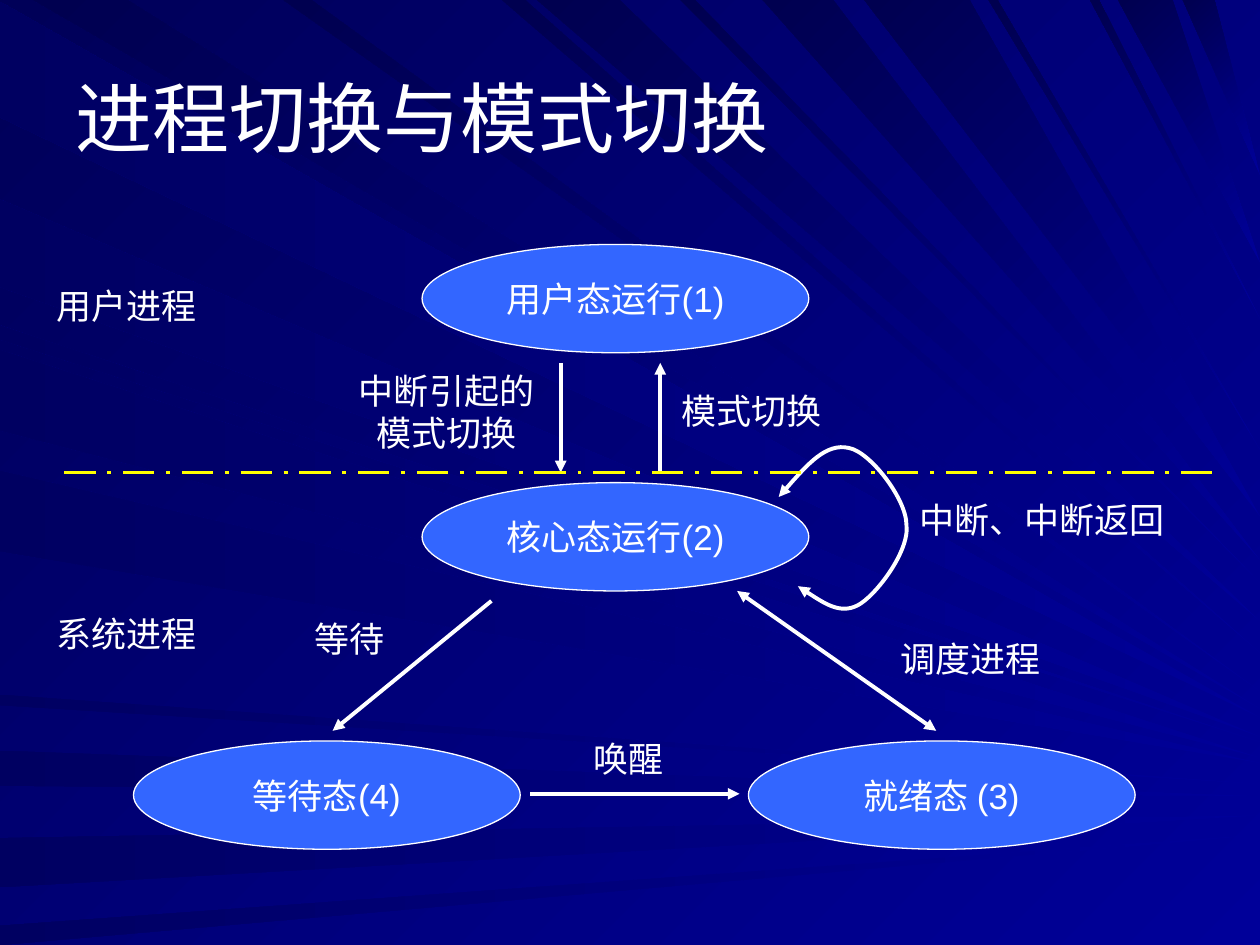
from dataclasses import dataclass

from pptx import Presentation
from pptx.dml.color import RGBColor
from pptx.enum.dml import MSO_LINE
from pptx.enum.shapes import MSO_CONNECTOR, MSO_SHAPE
from pptx.enum.text import MSO_ANCHOR, MSO_AUTO_SIZE, PP_ALIGN
from pptx.oxml import parse_xml
from pptx.oxml.ns import nsdecls, qn
from pptx.util import Pt

STRAIGHT = MSO_CONNECTOR.STRAIGHT
ELLIPSE = MSO_SHAPE.OVAL
LONG_DASH_DOT = MSO_LINE.LONG_DASH_DOT
MIDDLE = MSO_ANCHOR.MIDDLE
FIT_SHAPE, FIXED = MSO_AUTO_SIZE.SHAPE_TO_FIT_TEXT, MSO_AUTO_SIZE.NONE
LEFT, CENTER = PP_ALIGN.LEFT, PP_ALIGN.CENTER
SLIDE_WIDTH, SLIDE_HEIGHT = 720, 540


@dataclass(frozen=True)
class Theme:
    font: str = "Arial"
    title_size: float = 44
    label_size: float = 20
    text: str = "FFFFFF"
    state: str = "3366FF"
    boundary: str = "FFFF00"
    back_light: str = "000099"
    back_dark: str = "000058"
    ray_left: str = "000061"
    ray_top: str = "000050"
    outline: float = 0.75
    stroke: float = 2.25


# Each ray: where it starts and stops on its edge, and its tip on the right edge
LEFT_RAYS = [
    (1, 67, 410), (429, 449, 455), (479, 507, 466), (529, 540, 477),
    (186, 194, 424), (114, 164, 421), (200, 246, 433), (269, 315, 436),
    (397, 403, 448),
]
TOP_RAYS = [
    (19, 73, 405), (162, 178, 395), (287, 300, 373), (307, 354, 355),
    (389, 397, 333), (436, 476, 320), (494, 554, 295), (565, 570, 257),
    (623, 628, 182), (639, 670, 150), (676, 694, 100),
]

MIDDLE_COLUMN, BOTTOM_ROW, BOUNDARY = 241.2, 423.4, 270
STATES = [
    ("用户态运行(1)", MIDDLE_COLUMN, 139.7),
    ("核心态运行(2)", MIDDLE_COLUMN, 275.8),
    ("等待态(4)", 76.3, BOTTOM_ROW),
    ("就绪态 (3)", 427.7, BOTTOM_ROW),
]

# Start, end, whether the start has an arrowhead too
TRANSITIONS = [
    ((320.4, 207.4), (320.4, BOUNDARY), False),
    ((377.3, BOUNDARY), (377.3, 207.4), False),
    ((280.8, 343.4), (190.1, 417.6), False),
    ((303.1, 453.6), (422.6, 453.6), False),
    ((535, 417.6), (421.2, 337.7), True),
]

# Start, then two control points and an end for each curve
INTERRUPT_LOOP = [
    (445, 284),
    (459, 268), (472, 253), (485, 256),
    (497, 258), (518, 285), (518, 300),
    (520, 315), (500, 341), (490, 346),
    (480, 351), (468, 343), (456, 335),
]

LABELS = [
    ("模式切换", 382.3, 218.9),
    ("中断、中断返回", 518.4, 281.5),
    ("调度进程", 507.6, 360.7),
    ("唤醒", 331.9, 417.6),
    ("等待", 172.8, 349.2),
    ("用户进程", 25.2, 159.1),
    ("系统进程", 25.2, 346.3),
]


def write_text(frame, text, *, font, size, color, align=LEFT, before=0, wrap=True):
    frame.word_wrap = wrap
    paragraph = frame.paragraphs[0]
    paragraph.alignment = align
    paragraph.space_before = Pt(before)
    run = paragraph.add_run()
    run.text = text
    run.font.name = font
    run.font.size = Pt(size)
    run.font.color.rgb = RGBColor.from_string(color)


def paint_gradient(fill, start, end, angle):
    """Fill with two colours at a clockwise angle."""
    fill.gradient()
    fill.gradient_angle = 360 - angle
    for stop, color in zip(fill.gradient_stops, (start, end)):
        stop.color.rgb = RGBColor.from_string(color)


def outline_path(shapes, corners, close):
    points = [(Pt(x), Pt(y)) for x, y in corners]
    builder = shapes.build_freeform(*points[0])
    builder.add_line_segments(points[1:], close=close)
    shape = builder.convert_to_shape()
    shape.shadow.inherit = False
    return shape


class SlideBuilder:
    def __init__(self, slide, theme):
        self.slide = slide
        self.theme = theme

    def text(self, frame, text, **format_options):
        style = {"font": self.theme.font, "size": self.theme.label_size, "color": self.theme.text}
        write_text(frame, text, **(style | format_options))

    def stroke(self, shape, color, width):
        shape.line.color.rgb = RGBColor.from_string(color)
        shape.line.width = Pt(width)

    def arrowheads(self, shape, both):
        ends = ("headEnd", "tailEnd") if both else ("tailEnd",)
        for end in ends:
            shape.element.spPr.find(qn("a:ln")).append(
                parse_xml(f'<a:{end} {nsdecls("a")} type="triangle"/>'))

    def background(self):
        theme = self.theme
        paint_gradient(self.slide.background.fill, theme.back_light, theme.back_dark, 225)
        group = self.slide.shapes.add_group_shape()
        rays = [((0, a), (0, b), tip, theme.ray_left, 180) for a, b, tip in LEFT_RAYS]
        rays += [((a, 0), (b, 0), tip, theme.ray_top, 225) for a, b, tip in TOP_RAYS]
        for start, stop, tip, dark, angle in rays:
            ray = outline_path(group.shapes, [start, stop, (SLIDE_WIDTH, tip)], close=True)
            paint_gradient(ray.fill, theme.back_light, dark, angle)
            ray.line.fill.background()

    def title(self, text, left, top, width, height):
        """Place the title above everything drawn so far."""
        title = self.slide.shapes.title
        title.left, title.top, title.width, title.height = map(Pt, (left, top, width, height))
        title.text_frame.vertical_anchor = MIDDLE
        title.text_frame.auto_size = FIXED
        self.text(title.text_frame, text, size=self.theme.title_size)
        title.element.getparent().append(title.element)

    def state(self, text, left, top, width=221, height=61.9):
        state = self.slide.shapes.add_shape(ELLIPSE, *map(Pt, (left, top, width, height)))
        state.shadow.inherit = False
        state.fill.solid()
        state.fill.fore_color.rgb = RGBColor.from_string(self.theme.state)
        self.stroke(state, self.theme.text, self.theme.outline)
        state.text_frame.vertical_anchor = MIDDLE
        self.text(state.text_frame, text, align=CENTER, wrap=False)

    def line(self, start, end, color):
        line = self.slide.shapes.add_connector(STRAIGHT, *map(Pt, (*start, *end)))
        self.stroke(line, color, self.theme.stroke)
        line.element.spPr.append(parse_xml(f'<a:effectLst {nsdecls("a")}/>'))
        return line

    def arrow(self, start, end, both):
        self.arrowheads(self.line(start, end, self.theme.text), both)

    def boundary(self, start, end):
        self.line(start, end, self.theme.boundary).line.dash_style = LONG_DASH_DOT

    def curved_arrow(self, points):
        """Draw cubic curves; each three points after the first make one curve."""
        curve = outline_path(self.slide.shapes, points, close=False)
        curve.fill.background()
        self.stroke(curve, self.theme.text, self.theme.stroke)
        self.arrowheads(curve, both=True)
        path = next(curve.element.iter(qn("a:path")))
        segments = path.findall(qn("a:lnTo"))
        for first in range(0, len(segments), 3):
            bezier = parse_xml(f'<a:cubicBezTo {nsdecls("a")}/>')
            for segment in segments[first:first + 3]:
                bezier.append(segment[0])
                path.remove(segment)
            path.append(bezier)

    def label(self, text, left, top, width=None, height=31.5, align=LEFT):
        """Without a width, the label is as wide as its characters on one line."""
        width = width or len(text) * self.theme.label_size + 17
        label = self.slide.shapes.add_textbox(*map(Pt, (left, top, width, height)))
        label.text_frame.auto_size = FIT_SHAPE
        self.text(label.text_frame, text, align=align, before=12.5)


def main():
    prs = Presentation()
    prs.slide_width, prs.slide_height = Pt(SLIDE_WIDTH), Pt(SLIDE_HEIGHT)
    builder = SlideBuilder(prs.slides.add_slide(prs.slide_layouts[5]), Theme())
    builder.background()
    builder.title("进程切换与模式切换", 36, 21.6, 648, 90)
    for state in STATES:
        builder.state(*state)
    for transition in TRANSITIONS:
        builder.arrow(*transition)
    builder.curved_arrow(INTERRUPT_LOOP)
    builder.label("中断引起的模式切换", 195.8, 207.4, 118.8, 55.4, CENTER)
    for label in LABELS:
        builder.label(*label)
    builder.boundary((36.7, BOUNDARY), (694.8, BOUNDARY))
    prs.save("out.pptx")


if __name__ == "__main__":
    main()
